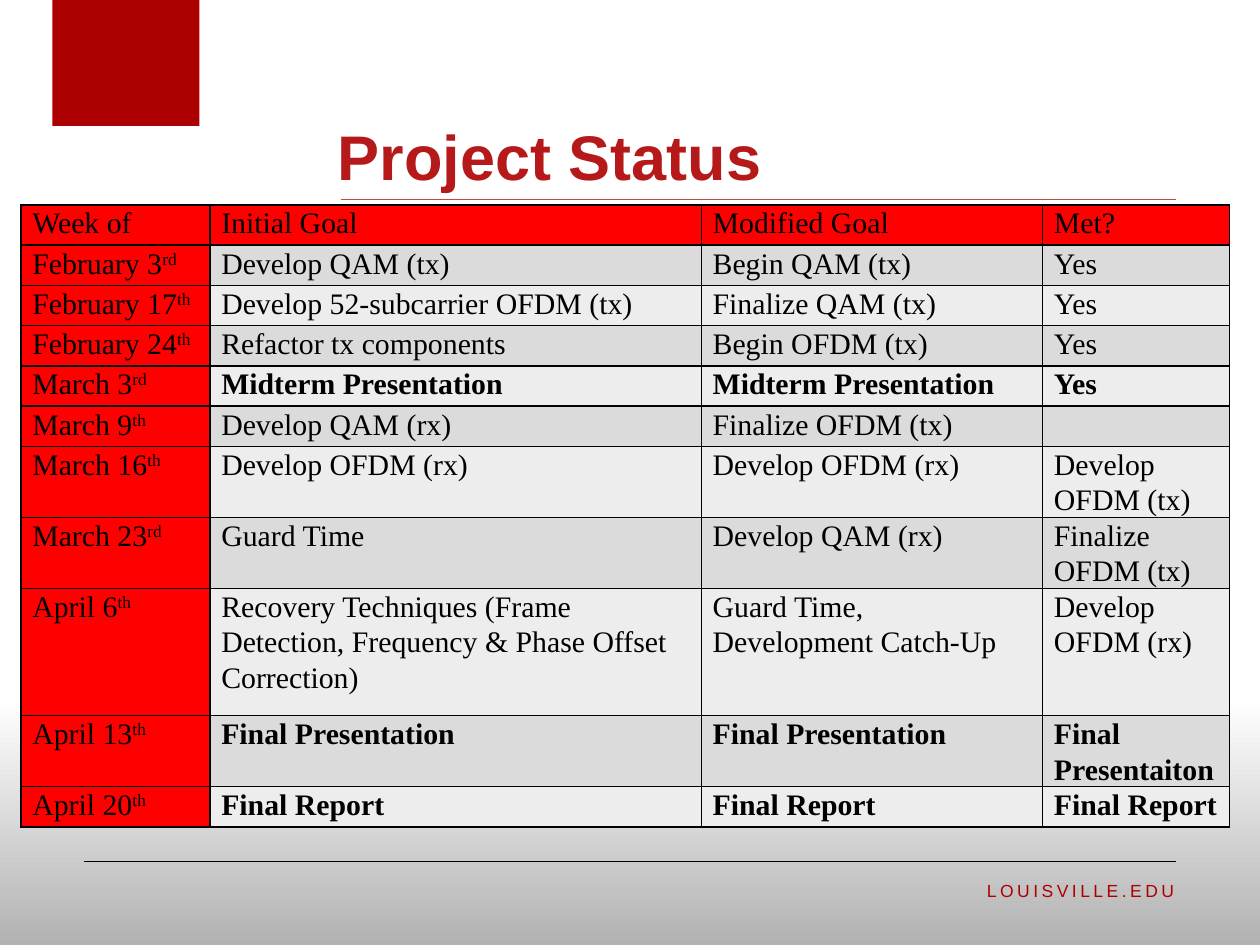
from typing import NamedTuple

from lxml.etree import SubElement
from pptx import Presentation
from pptx.dml.color import RGBColor
from pptx.enum.shapes import MSO_CONNECTOR, MSO_SHAPE
from pptx.enum.text import MSO_ANCHOR, PP_ALIGN
from pptx.oxml.ns import qn
from pptx.util import Emu, Inches, Pt

COLUMNS, ROWS = 120, 90
RED, GREYS = "FF0000", ("EDEDED", "DBDBDB")
TABLE_COLUMNS = (18, 46.8, 32.5, 17.8)
ROW_HEIGHT, TALL_ROW_HEIGHT = 3.84, 12.12


class Rule(NamedTuple):
    left: float
    right: float
    row: float
    color: str
    width: float


class Label(NamedTuple):
    text: str
    area: tuple[float, float, float, float]
    size: float
    color: str
    bold: bool
    align: PP_ALIGN
    anchor: MSO_ANCHOR
    spacing: float


class Week(NamedTuple):
    date: str
    suffix: str
    initial: str
    modified: str
    met: str
    milestone: bool = False
    height: float = ROW_HEIGHT


RULES = (
    Rule(8, 112, 82, "000000", 0.5),
    Rule(32.5, 112, 19, "BF4C48", 0.75),
)
LABELS = (
    Label("LOUISVILLE.EDU", (86, 83.2, 27, 4.8), 10, "AD0000", False,
          PP_ALIGN.RIGHT, MSO_ANCHOR.TOP, 2),
    Label("Project Status", (31, 13, 81, 6), 36, "B5191A", True,
          PP_ALIGN.LEFT, MSO_ANCHOR.BOTTOM, 0),
)
WEEKS = (
    Week("Week of", "", "Initial Goal", "Modified Goal", "Met?"),
    Week("February 3", "rd", "Develop QAM (tx)", "Begin QAM (tx)", "Yes"),
    Week("February 17", "th", "Develop 52-subcarrier OFDM (tx)", "Finalize QAM (tx)", "Yes"),
    Week("February 24", "th", "Refactor tx components", "Begin OFDM (tx)", "Yes"),
    Week("March 3", "rd", "Midterm Presentation", "Midterm Presentation", "Yes", True),
    Week("March 9", "th", "Develop QAM (rx)", "Finalize OFDM (tx)", ""),
    Week("March 16", "th", "Develop OFDM (rx)", "Develop OFDM (rx)", "Develop OFDM (tx)"),
    Week("March 23", "rd", "Guard Time", "Develop QAM (rx)", "Finalize OFDM (tx)"),
    Week("April 6", "th",
         "Recovery Techniques (Frame Detection, Frequency & Phase Offset Correction)",
         "Guard Time, Development Catch-Up", "Develop OFDM (rx)", height=TALL_ROW_HEIGHT),
    Week("April 13", "th", "Final Presentation", "Final Presentation", "Final Presentaiton", True),
    Week("April 20", "th", "Final Report", "Final Report", "Final Report", True),
)


def color(value: str) -> RGBColor:
    """Turn a hex string into a colour."""
    return RGBColor.from_string(value)


def across(columns: float) -> Emu:
    """Measure a number of grid columns."""
    return Emu(round(Inches(10) * columns / COLUMNS))


def down(rows: float) -> Emu:
    """Measure a number of grid rows."""
    return Emu(round(Inches(7.5) * rows / ROWS))


def place(left: float, top: float, width: float, height: float) -> tuple[Emu, Emu, Emu, Emu]:
    """Give the position and size of a grid area."""
    return across(left), down(top), across(width), down(height)


def paint_background(page) -> None:
    """Fade the page from white to grey at the bottom."""
    fill = page.background.fill
    fill.gradient()
    fill.gradient_angle = 270
    for stop, position, shade in zip(fill.gradient_stops, (0.74, 1), ("FFFFFF", "B2B2B2")):
        stop.position = position
        stop.color.rgb = color(shade)


def draw_rule(page, rule: Rule) -> None:
    """Draw a horizontal line without a shadow."""
    line = page.shapes.add_connector(
        MSO_CONNECTOR.STRAIGHT, across(rule.left), down(rule.row),
        across(rule.right), down(rule.row))
    line.line.color.rgb = color(rule.color)
    line.line.width = Pt(rule.width)
    SubElement(line._element.spPr, qn("a:effectLst"))


def draw_corner_block(page) -> None:
    """Draw the dark red block at the top of the page."""
    block = page.shapes.add_shape(MSO_SHAPE.RECTANGLE, *place(5, 0, 14, 12))
    block.shadow.inherit = False
    block.fill.solid()
    block.fill.fore_color.rgb = color("AD0000")
    block.line.fill.background()


def draw_label(page, label: Label) -> None:
    """Draw one line of text in its own box."""
    frame = page.shapes.add_textbox(*place(*label.area)).text_frame
    frame.word_wrap = True
    frame.vertical_anchor = label.anchor
    frame.text = label.text
    para = frame.paragraphs[0]
    para.alignment = label.align
    span = para.runs[0]
    span.font.name = "Arial"
    span.font.size = Pt(label.size)
    span.font.bold = label.bold
    span.font.color.rgb = color(label.color)
    if label.spacing:
        span._r.get_or_add_rPr().set("spc", str(label.spacing * 100))


def outline_cell(cell) -> None:
    """Put a thin black border on every side of a cell."""
    properties = cell._tc.get_or_add_tcPr()
    for position, side in enumerate(("a:lnL", "a:lnR", "a:lnT", "a:lnB")):
        border = SubElement(properties, qn(side), w=str(Pt(1)))
        fill = SubElement(border, qn("a:solidFill"))
        SubElement(fill, qn("a:srgbClr"), val="000000")
        properties.insert(position, border)


def fill_cell(cell, text: str, suffix: str, shade: str, bold: bool) -> None:
    """Write a cell with an optional raised suffix."""
    cell.fill.solid()
    cell.fill.fore_color.rgb = color(shade)
    cell.margin_left = cell.margin_right = Inches(0.09)
    cell.margin_top = cell.margin_bottom = 0
    outline_cell(cell)
    para = cell.text_frame.paragraphs[0]
    para.line_spacing = 1.07
    para.text = text
    if suffix:
        raised = para.add_run()
        raised.text = suffix
        raised._r.get_or_add_rPr().set("baseline", "30000")
    for span in para.runs:
        span.font.name = "Times New Roman"
        span.font.size = Pt(17)
        span.font.bold = bold
        span.font.color.rgb = color("000000")


def draw_schedule(page) -> None:
    """Draw the table of weekly goals."""
    area = place(2, 19.5, sum(TABLE_COLUMNS), sum(week.height for week in WEEKS))
    table = page.shapes.add_table(len(WEEKS), len(TABLE_COLUMNS), *area).table
    for column, width in zip(table.columns, TABLE_COLUMNS):
        column.width = across(width)
    for index, week in enumerate(WEEKS):
        table.rows[index].height = down(week.height)
        shade = GREYS[index % 2] if index else RED
        fill_cell(table.cell(index, 0), week.date, week.suffix, RED, False)
        for column, goal in enumerate((week.initial, week.modified, week.met), 1):
            fill_cell(table.cell(index, column), goal, "", shade, week.milestone)


def main() -> None:
    """Build the project status slide."""
    deck = Presentation()
    deck.slide_width, deck.slide_height = across(COLUMNS), down(ROWS)
    page = deck.slides.add_slide(deck.slide_layouts[6])
    paint_background(page)
    draw_corner_block(page)
    for rule in RULES:
        draw_rule(page, rule)
    draw_schedule(page)
    for label in LABELS:
        draw_label(page, label)
    deck.save("out.pptx")


if __name__ == "__main__":
    main()
